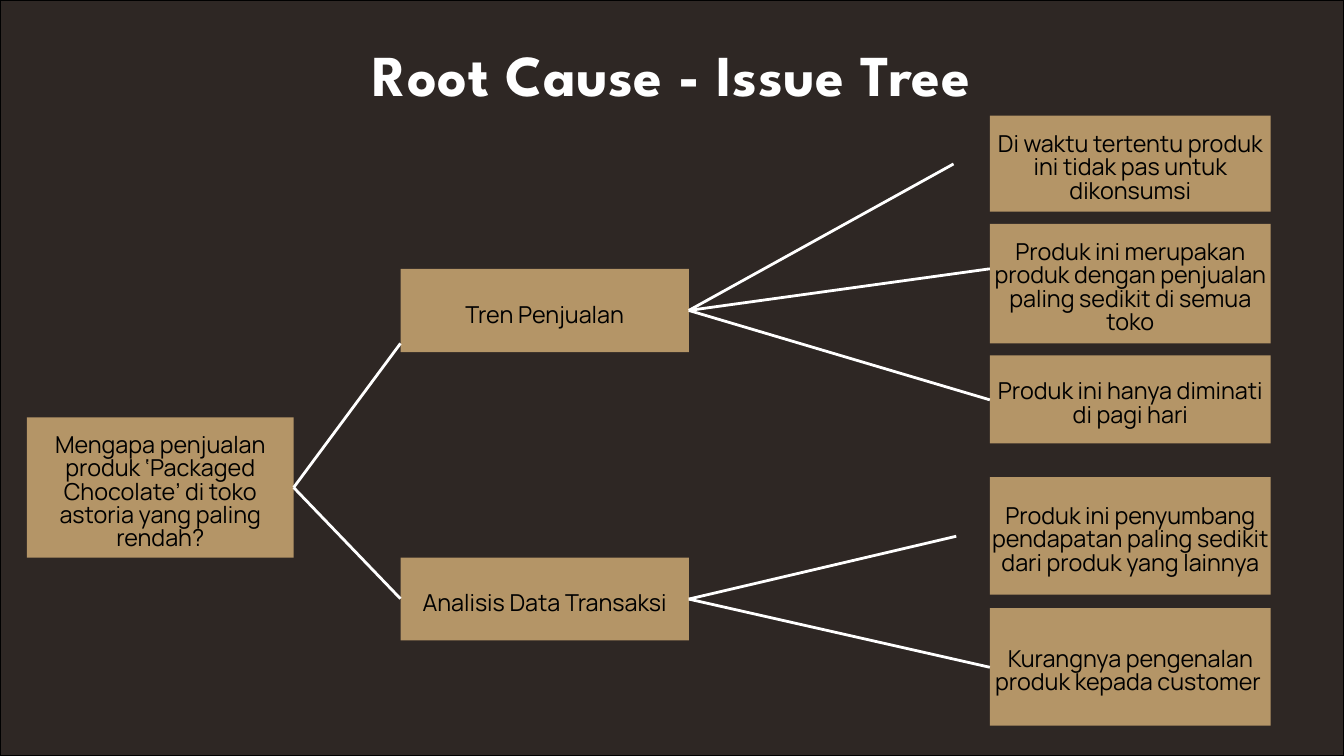
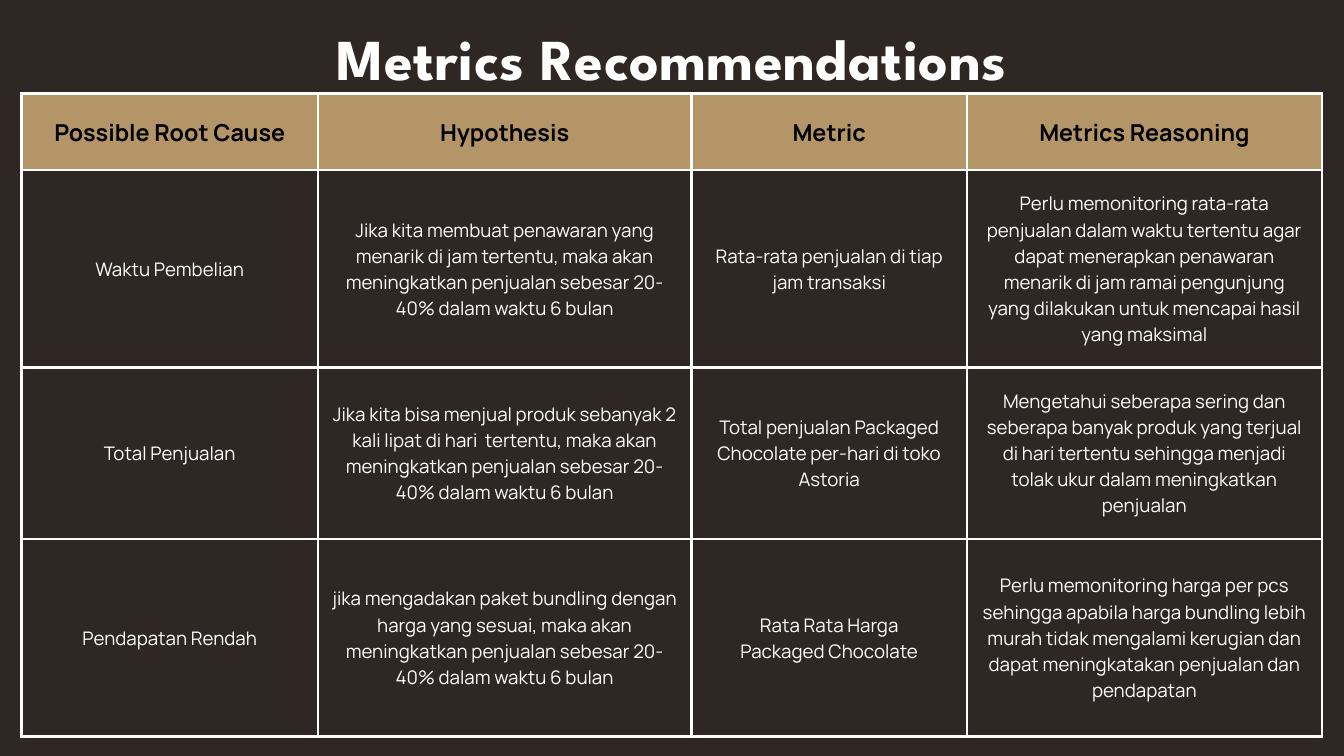
from lxml import etree
from pptx import Presentation
from pptx.dml.color import RGBColor
from pptx.enum.shapes import MSO_CONNECTOR as Connector, MSO_SHAPE as Preset
from pptx.enum.text import MSO_ANCHOR as Anchor, PP_ALIGN as Align
from pptx.oxml.ns import qn
from pptx.util import Inches, Pt

DARK = RGBColor(0x2E, 0x27, 0x24)
TAN = RGBColor(0xB4, 0x95, 0x67)
WHITE = RGBColor(0xFF, 0xFF, 0xFF)
BLACK = RGBColor(0x00, 0x00, 0x00)

WIDTH, HEIGHT = 20, 11.25
LINE_WIDTH = Pt(3)
TITLE_FONT = {"name": "League Spartan", "size": Pt(62), "bold": True}
BOX_FONT = {"name": "Manrope", "size": Pt(25), "bold": False}
HEADER_FONT = {"name": "Manrope", "size": Pt(25), "bold": True}
CELL_FONT = {"name": "Manrope", "size": Pt(20), "bold": False}


def write(frame, text, font, color, spacing):
    """Fill a text frame with centred paragraphs of one style."""
    frame.text = text
    for paragraph in frame.paragraphs:
        paragraph.alignment = Align.CENTER
        paragraph.line_spacing = Pt(spacing)
        paragraph.space_before = Pt(0)
        for run in paragraph.runs:
            for key, value in font.items():
                setattr(run.font, key, value)
            run.font.color.rgb = color


def add_rectangle(slide, left, top, width, height, fill):
    rectangle = slide.shapes.add_shape(
        Preset.RECTANGLE, Inches(left), Inches(top), Inches(width), Inches(height))
    rectangle.shadow.inherit = False
    rectangle.fill.solid()
    rectangle.fill.fore_color.rgb = fill
    rectangle.line.fill.background()
    return rectangle


presentation = Presentation()
presentation.slide_width = Inches(WIDTH)
presentation.slide_height = Inches(HEIGHT)

# Shared parts: dark backdrop and centred title
slides = []
for title_text, title_top, title_width in [
    ("Root Cause - Issue Tree", 0.68, 10.53),
    ("Metrics Recommendations", 0.44, 11.89),
]:
    slide = presentation.slides.add_slide(presentation.slide_layouts[5])
    backdrop = add_rectangle(slide, 0, 0, WIDTH, HEIGHT, DARK)
    slide.shapes._spTree.insert(2, backdrop._element)
    title = slide.shapes.title
    title.left, title.top = Inches((WIDTH - title_width) / 2), Inches(title_top)
    title.width, title.height = Inches(title_width), Inches(0.95)
    frame = title.text_frame
    for key, value in {"margin_left": 0, "margin_right": 0, "margin_top": 0,
                       "margin_bottom": 0, "vertical_anchor": Anchor.TOP,
                       "word_wrap": True}.items():
        setattr(frame, key, value)
    write(frame, title_text, TITLE_FONT, WHITE, 66.9)
    for run in frame.paragraphs[0].runs:
        run._r.get_or_add_rPr().set("spc", "60")
    slides.append((slide, backdrop))

# Issue tree: three columns of boxes, given as (left, width, text offset)
tree_slide, tree_backdrop = slides[0]
tree_backdrop.line.color.rgb = BLACK
tree_backdrop.line.width = LINE_WIDTH

ROOT, BRANCH, LEAF = (0.4, 3.97, 0.17), (5.96, 4.29, 0.17), (14.73, 4.18, 0.15)
boxes = [
    (ROOT, 6.21, 2.09, "Mengapa penjualan produk ‘Packaged Chocolate’ di toko "
                       "astoria yang paling rendah?"),
    (BRANCH, 4, 1.24, "Tren Penjualan"),
    (BRANCH, 8.3, 1.23, "Analisis Data Transaksi"),
    (LEAF, 1.72, 1.43, "Di waktu tertentu produk ini tidak pas untuk dikonsumsi"),
    (LEAF, 3.33, 1.78, "Produk ini merupakan produk dengan penjualan paling "
                       "sedikit di semua toko"),
    (LEAF, 5.29, 1.31, "Produk ini hanya diminati di pagi hari"),
    (LEAF, 7.1, 1.75, "Produk ini penyumbang pendapatan paling sedikit dari "
                      "produk yang lainnya"),
    (LEAF, 9.05, 1.75, "Kurangnya pengenalan produk kepada customer "),
]
for (left, width, offset), top, height, text in boxes:
    box = add_rectangle(tree_slide, left, top, width, height, TAN)
    frame = box.text_frame
    for key, value in {"margin_left": Inches(0.03), "margin_right": Inches(0.03),
                       "margin_top": Inches(offset + 0.03),
                       "margin_bottom": Inches(0.03), "word_wrap": True,
                       "vertical_anchor": Anchor.MIDDLE}.items():
        setattr(frame, key, value)
    write(frame, text, BOX_FONT, BLACK, 25)

# Tree lines: from the right middle of a box to its children
children = [
    (0, [(5.96, 5.11), (5.96, 8.91)]),
    (1, [(14.19, 2.44), (14.73, 4), (14.73, 5.95)]),
    (2, [(14.23, 7.98), (14.73, 9.93)]),
]
for parent, ends in children:
    (left, width, _), top, height, _ = boxes[parent]
    for end_x, end_y in ends:
        line = tree_slide.shapes.add_connector(
            Connector.STRAIGHT, Inches(left + width), Inches(top + height / 2),
            Inches(end_x), Inches(end_y))
        line.line.color.rgb = WHITE
        line.line.width = LINE_WIDTH
        etree.SubElement(line._element.spPr, qn("a:effectLst"))

# Metrics table
table_slide = slides[1][0]
column_widths = [4.41, 5.56, 4.1, 5.28]
row_heights = [1.14, 2.94, 2.55, 2.94]
rows = [
    ["Possible Root Cause", "Hypothesis", "Metric", "Metrics Reasoning"],
    ["Waktu Pembelian",
     "Jika kita membuat penawaran yang menarik di jam tertentu, maka akan "
     "meningkatkan penjualan sebesar 20-40% dalam waktu 6 bulan",
     "Rata-rata penjualan di tiap jam transaksi",
     "Perlu memonitoring rata-rata penjualan dalam waktu tertentu agar dapat "
     "menerapkan penawaran menarik di jam ramai pengunjung yang dilakukan untuk "
     "mencapai hasil yang maksimal"],
    ["Total Penjualan",
     "Jika kita bisa menjual produk sebanyak 2 kali lipat di hari  tertentu, maka "
     "akan meningkatkan penjualan sebesar 20-40% dalam waktu 6 bulan",
     "Total penjualan Packaged Chocolate per-hari di toko Astoria",
     "Mengetahui seberapa sering dan seberapa banyak produk yang terjual di hari "
     "tertentu sehingga menjadi tolak ukur dalam meningkatkan penjualan"],
    ["Pendapatan Rendah",
     "jika mengadakan paket bundling dengan harga yang sesuai, maka akan "
     "meningkatkan penjualan sebesar 20-40% dalam waktu 6 bulan",
     "Rata Rata Harga\nPackaged Chocolate",
     "Perlu memonitoring harga per pcs sehingga apabila harga bundling lebih murah "
     "tidak mengalami kerugian dan dapat meningkatakan penjualan dan pendapatan"],
]
table = table_slide.shapes.add_table(
    len(rows), len(column_widths), Inches(0.32), Inches(1.39),
    Inches(sum(column_widths)), Inches(sum(row_heights))).table
table.first_row = table.horz_banding = False
for column, width in zip(table.columns, column_widths):
    column.width = Inches(width)
for row, height in zip(table.rows, row_heights):
    row.height = Inches(height)

for row_index, texts in enumerate(rows):
    for column_index, text in enumerate(texts):
        cell = table.cell(row_index, column_index)
        for side in ("left", "right", "top", "bottom"):
            setattr(cell, f"margin_{side}", Inches(0.21))
        cell.vertical_anchor = Anchor.MIDDLE
        # Borders come before the fill in the cell properties
        properties = cell._tc.get_or_add_tcPr()
        for tag in ("a:lnL", "a:lnR", "a:lnT", "a:lnB"):
            border = etree.SubElement(properties, qn(tag), w=str(LINE_WIDTH))
            solid = etree.SubElement(border, qn("a:solidFill"))
            etree.SubElement(solid, qn("a:srgbClr"), val=str(WHITE))
        if row_index == 0:
            write(cell.text_frame, text, HEADER_FONT, BLACK, 35)
            cell.fill.solid()
            cell.fill.fore_color.rgb = TAN
        else:
            write(cell.text_frame, text, CELL_FONT, WHITE, 28)
            cell.fill.background()

presentation.save("out.pptx")
